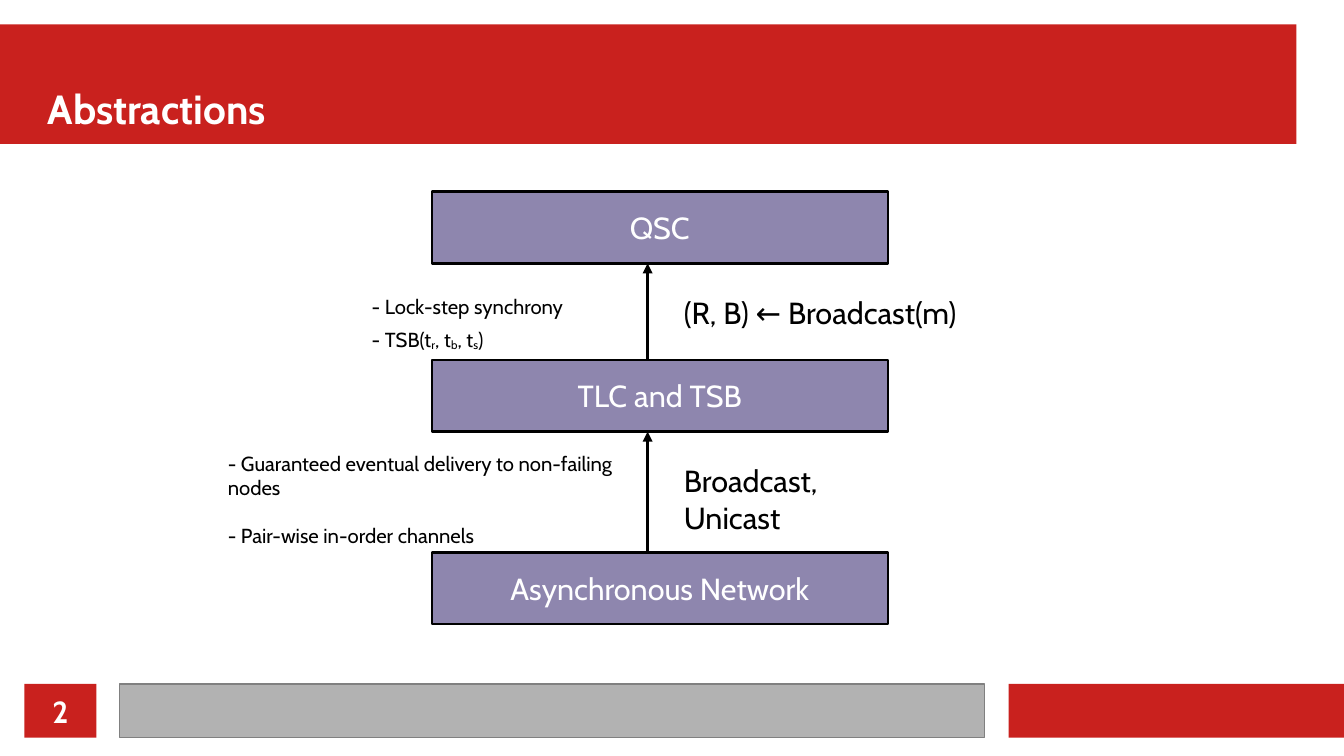
from dataclasses import dataclass
from itertools import pairwise

from lxml.etree import SubElement
from pptx import Presentation
from pptx.dml.color import RGBColor
from pptx.enum.shapes import MSO_CONNECTOR, MSO_SHAPE
from pptx.enum.text import MSO_ANCHOR, PP_ALIGN
from pptx.oxml.ns import qn
from pptx.shapes.autoshape import Shape
from pptx.slide import Slide
from pptx.text.text import TextFrame
from pptx.util import Inches, Pt

RED = RGBColor(0xC9, 0x21, 0x1E)
GREY = RGBColor(0xB2, 0xB2, 0xB2)
EDGE = RGBColor(0x80, 0x80, 0x80)
MAUVE = RGBColor(0x8E, 0x86, 0xAE)
BLACK = RGBColor(0, 0, 0)
WHITE = RGBColor(255, 255, 255)

FONT = "Cabin"
STROKE = Pt(1.42)
LEFT, WIDTH, HEIGHT = 3.54, 3.74, 0.59
AXIS = 5.31
FOOT, DEPTH = 5.61, 0.44
FLUSH = dict(margin_left=0, margin_right=0, margin_top=0, margin_bottom=0)
MIDDLE = dict(vertical_anchor=MSO_ANCHOR.MIDDLE)

Run = tuple[str, bool]
Line = list[Run]


@dataclass
class Band:
    left: float
    top: float
    width: float
    height: float
    fill: RGBColor
    edge: RGBColor | None = None
    stroke: int = 0


@dataclass
class Layer:
    label: str
    top: float


@dataclass
class Note:
    left: float
    top: float
    width: float
    height: float
    size: int
    lines: list[Line]
    gap: float = 0


BANDS = [
    Band(0, 0.2, 10.63, 0.98, RED),
    Band(8.27, FOOT, 2.76, DEPTH, RED),
    Band(0.98, FOOT, 7.09, DEPTH, GREY, EDGE),
]
BADGE = Band(0.2, FOOT, 0.59, DEPTH, RED)
LAYERS = [
    Layer("QSC", 1.57),
    Layer("TLC and TSB", 2.95),
    Layer("Asynchronous Network", 4.53),
]
TIMES = [("- TSB(t", False), ("r", True), (", t", False), ("b", True),
         (", t", False), ("s", True), (")", False)]
NOTES = [
    Note(5.51, 3.74, 1.77, 0.78, 18, [[("Broadcast, Unicast", False)]]),
    Note(5.51, 2.36, 3.15, 0.68, 18, [[("(R, B) ← Broadcast(m)", False)]]),
    Note(1.77, 3.65, 3.54, 1.07, 12,
         [[("- Guaranteed eventual delivery to non-failing nodes", False)],
          [("- Pair-wise in-order channels", False)]], 14),
    Note(2.95, 2.36, 2.36, 0.67, 12,
         [[("- Lock-step synchrony", False)], TIMES], 5.5),
]


def apply(target: object, form: dict) -> None:
    for name, value in form.items():
        setattr(target, name, value)


def write(frame: TextFrame, lines: list[Line], size: int, color: RGBColor,
          align: PP_ALIGN = PP_ALIGN.LEFT, bold: bool = False,
          gap: float = 0) -> None:
    for row, line in enumerate(lines):
        para = frame.add_paragraph() if row else frame.paragraphs[0]
        apply(para, dict(alignment=align, space_before=Pt(gap if row else 0)))
        for text, sub in line:
            run = para.add_run()
            run.text = text
            apply(run.font, dict(name=FONT, size=Pt(size), bold=bold))
            run.font.color.rgb = color
            if sub:
                run.font._element.set("baseline", "-8000")


def draw_band(slide: Slide, band: Band) -> Shape:
    shape = slide.shapes.add_shape(
        MSO_SHAPE.RECTANGLE, Inches(band.left), Inches(band.top),
        Inches(band.width), Inches(band.height))
    shape.shadow.inherit = False
    shape.fill.solid()
    shape.fill.fore_color.rgb = band.fill
    if band.edge is None:
        shape.line.fill.background()
    else:
        shape.line.color.rgb = band.edge
        shape.line.width = band.stroke
    return shape


def draw_layer(slide: Slide, layer: Layer) -> None:
    shape = draw_band(slide, Band(LEFT, layer.top, WIDTH, HEIGHT,
                                  MAUVE, BLACK, STROKE))
    apply(shape.text_frame, MIDDLE | dict(word_wrap=False))
    write(shape.text_frame, [[(layer.label, False)]], 18, WHITE,
          PP_ALIGN.CENTER)


def draw_arrow(slide: Slide, upper: Layer, lower: Layer) -> None:
    arrow = slide.shapes.add_connector(
        MSO_CONNECTOR.STRAIGHT, Inches(AXIS), Inches(lower.top),
        Inches(AXIS), Inches(upper.top + HEIGHT))
    arrow.line.color.rgb = BLACK
    arrow.line.width = STROKE
    props = arrow._element.spPr
    SubElement(props.find(qn("a:ln")), qn("a:tailEnd"), type="triangle")
    SubElement(props, qn("a:effectLst"))


def draw_note(slide: Slide, note: Note) -> None:
    box = slide.shapes.add_textbox(
        Inches(note.left), Inches(note.top),
        Inches(note.width), Inches(note.height))
    box.text_frame.word_wrap = True
    write(box.text_frame, note.lines, note.size, BLACK, gap=note.gap)


def draw_title(slide: Slide, text: str) -> None:
    title = slide.shapes.title
    apply(title, dict(left=Inches(0.39), top=Inches(0.3),
                      width=Inches(10.24), height=Inches(0.79)))
    apply(title.text_frame, FLUSH | dict(vertical_anchor=MSO_ANCHOR.BOTTOM))
    write(title.text_frame, [[(text, False)]], 24, WHITE, bold=True)
    slide.shapes._spTree.append(title._element)


def draw_badge(slide: Slide, text: str) -> None:
    frame = draw_band(slide, BADGE).text_frame
    apply(frame, FLUSH | MIDDLE)
    write(frame, [[(text, False)]], 18, WHITE, PP_ALIGN.CENTER, True)


deck = Presentation()
apply(deck, dict(slide_width=Inches(11.02), slide_height=Inches(6.2)))
slide = deck.slides.add_slide(deck.slide_layouts.get_by_name("Title Only"))
for band in BANDS:
    draw_band(slide, band)
draw_badge(slide, "2")
draw_title(slide, "Abstractions")
for layer in LAYERS:
    draw_layer(slide, layer)
for upper, lower in pairwise(LAYERS):
    draw_arrow(slide, upper, lower)
for note in NOTES:
    draw_note(slide, note)
deck.save("out.pptx")
